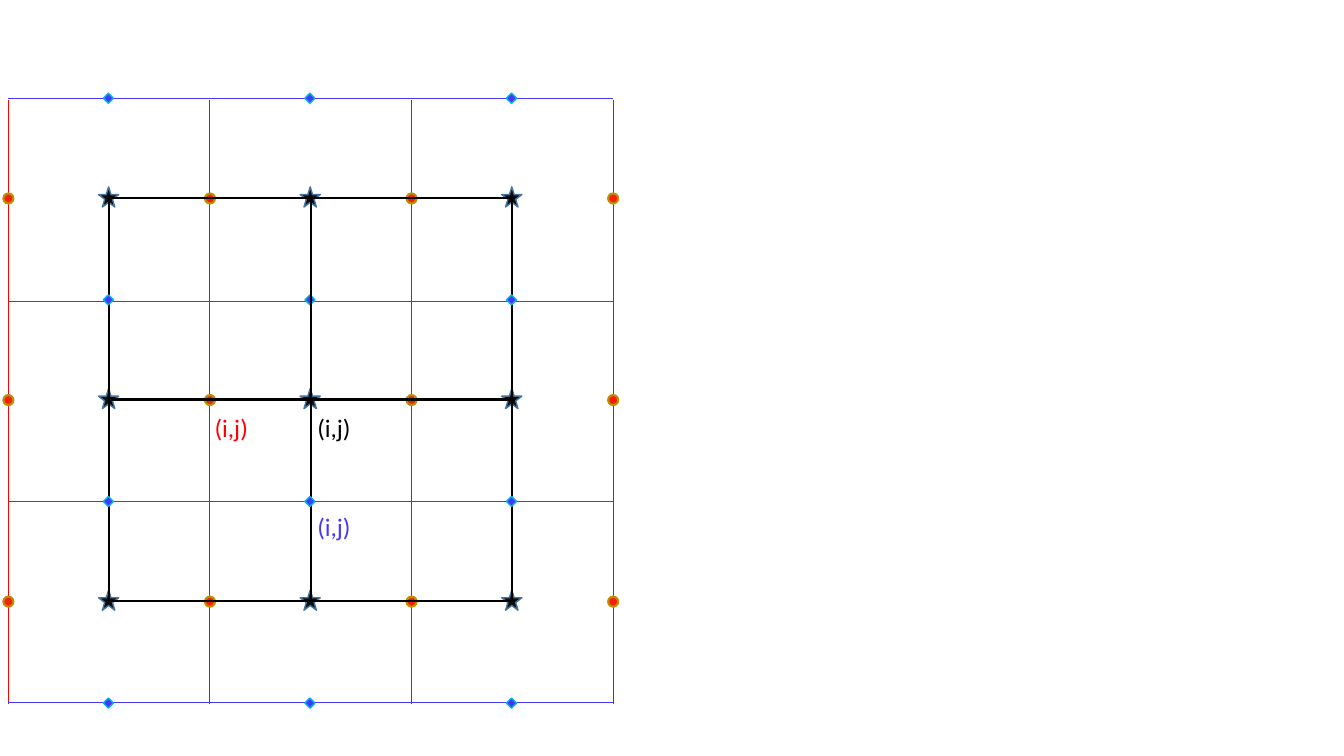
from lxml.etree import SubElement
from pptx import Presentation
from pptx.dml.color import RGBColor
from pptx.enum.shapes import MSO_CONNECTOR, MSO_SHAPE
from pptx.enum.text import MSO_AUTO_SIZE
from pptx.oxml.ns import qn
from pptx.util import Pt

RED, BLUE, BLACK = "FF0000", "4638F8", "000000"
PITCH = 144

presentation = Presentation()
presentation.slide_width = Pt(960)
presentation.slide_height = Pt(540)
slide = presentation.slides.add_slide(presentation.slide_layouts[6])
grid = slide.shapes.add_group_shape().shapes


def add_line(left, top, right, bottom, color, width):
    line = grid.add_connector(
        MSO_CONNECTOR.STRAIGHT, Pt(left), Pt(top), Pt(right), Pt(bottom)
    )
    line.line.color.rgb = RGBColor.from_string(color)
    line.line.width = Pt(width)
    SubElement(line._element.spPr, qn("a:effectLst"))


def add_marker(kind, center_x, center_y, size, fill, outline, width):
    shape = grid.add_shape(
        kind, Pt(center_x - size / 2), Pt(center_y - size / 2), Pt(size), Pt(size)
    )
    shape.shadow.inherit = False
    shape.fill.solid()
    shape.fill.fore_color.rgb = RGBColor.from_string(fill)
    shape.line.color.rgb = RGBColor.from_string(outline)
    shape.line.width = Pt(width)


for column in range(4):
    x = 5.8 + column * PITCH
    add_line(x, 71.2, x, 503.2, RED, 0.5)
for y in (70.6, 215.3, 357.8, 501.8):
    add_line(5.8, y, 437.8, y, BLUE, 0.5)

diamonds = [(column, row) for row in range(4) for column in range(3)]
covered_diamond = (1, 1)
diamonds.remove(covered_diamond)
diamond_style = (7.2, BLUE, "00B0F0", 1)
add_marker(MSO_SHAPE.DIAMOND, 77.4 + PITCH, 70.2 + PITCH, *diamond_style)

for row in range(3):
    for column in range(4):
        add_marker(MSO_SHAPE.OVAL, 6 + column * PITCH, 141.8 + row * PITCH,
                   7.2, "F81F08", "BD8E00", 1.5)
for row in range(3):
    for column in range(3):
        add_marker(MSO_SHAPE.STAR_5_POINT, 77.6 + column * PITCH, 140.7 + row * PITCH,
                   14.4, "0D0D0D", "43739E", 1)

for index in range(3):
    x = 77.9 + index * PITCH
    y = 141.4 + index * PITCH
    add_line(x, 141.1, x, 429.1, BLACK, 1.5)
    add_line(79.9, y, 367.9, y, BLACK, 1.5)

for column, row in diamonds:
    add_marker(MSO_SHAPE.DIAMOND, 77.4 + column * PITCH, 70.2 + row * PITCH,
               *diamond_style)

for left, top, color in (
    (219.6, 290.9, BLACK),
    (146.2, 290.9, RED),
    (219.6, 361.4, BLUE),
):
    label = slide.shapes.add_textbox(Pt(left), Pt(top), Pt(38.9), Pt(28.8))
    label.text_frame.word_wrap = False
    label.text_frame.auto_size = MSO_AUTO_SIZE.SHAPE_TO_FIT_TEXT
    paragraph = label.text_frame.paragraphs[0]
    paragraph.text = "(i,j)"
    paragraph.font.name = "Calibri"
    paragraph.font.size = Pt(18)
    paragraph.font.color.rgb = RGBColor.from_string(color)

presentation.save("out.pptx")
